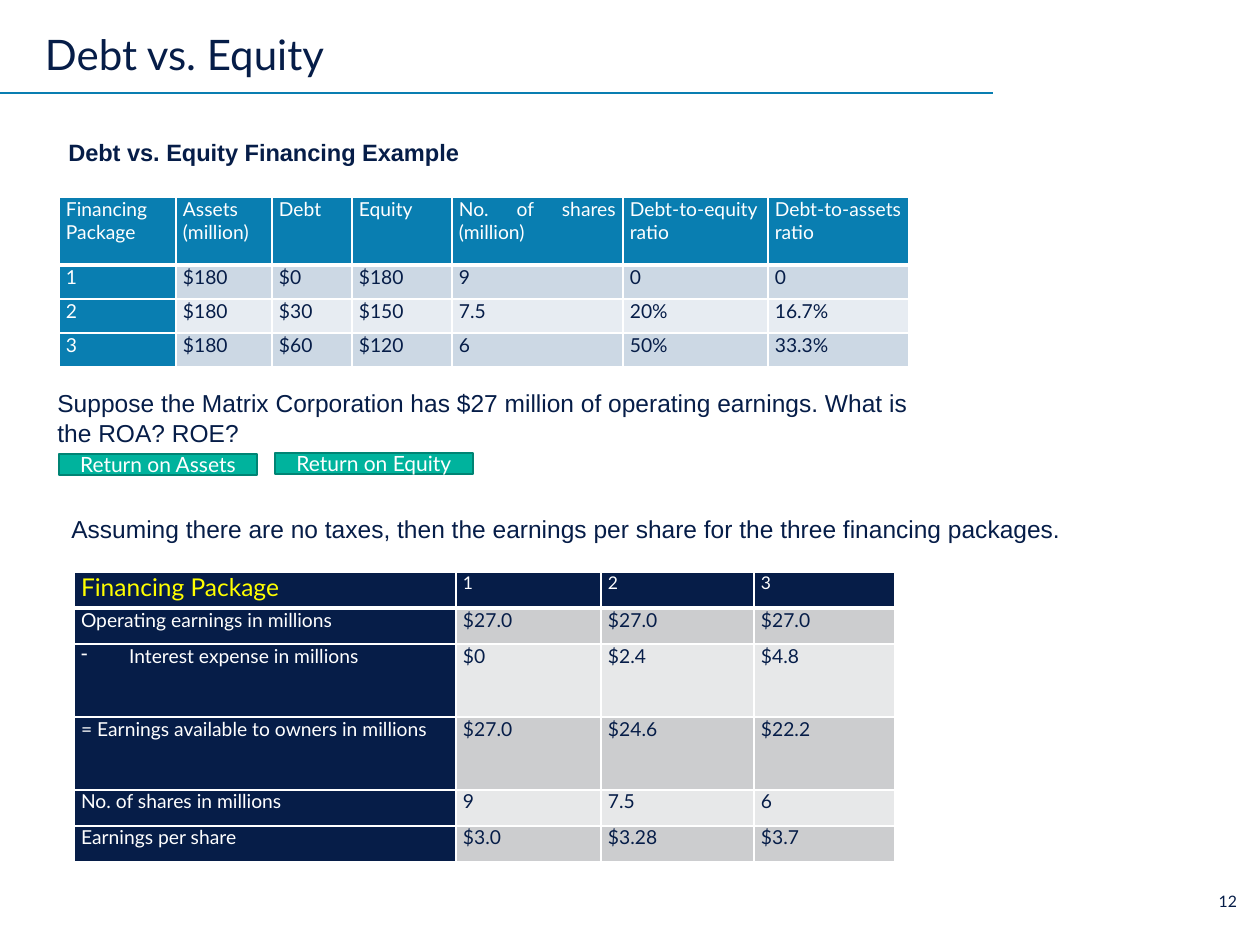
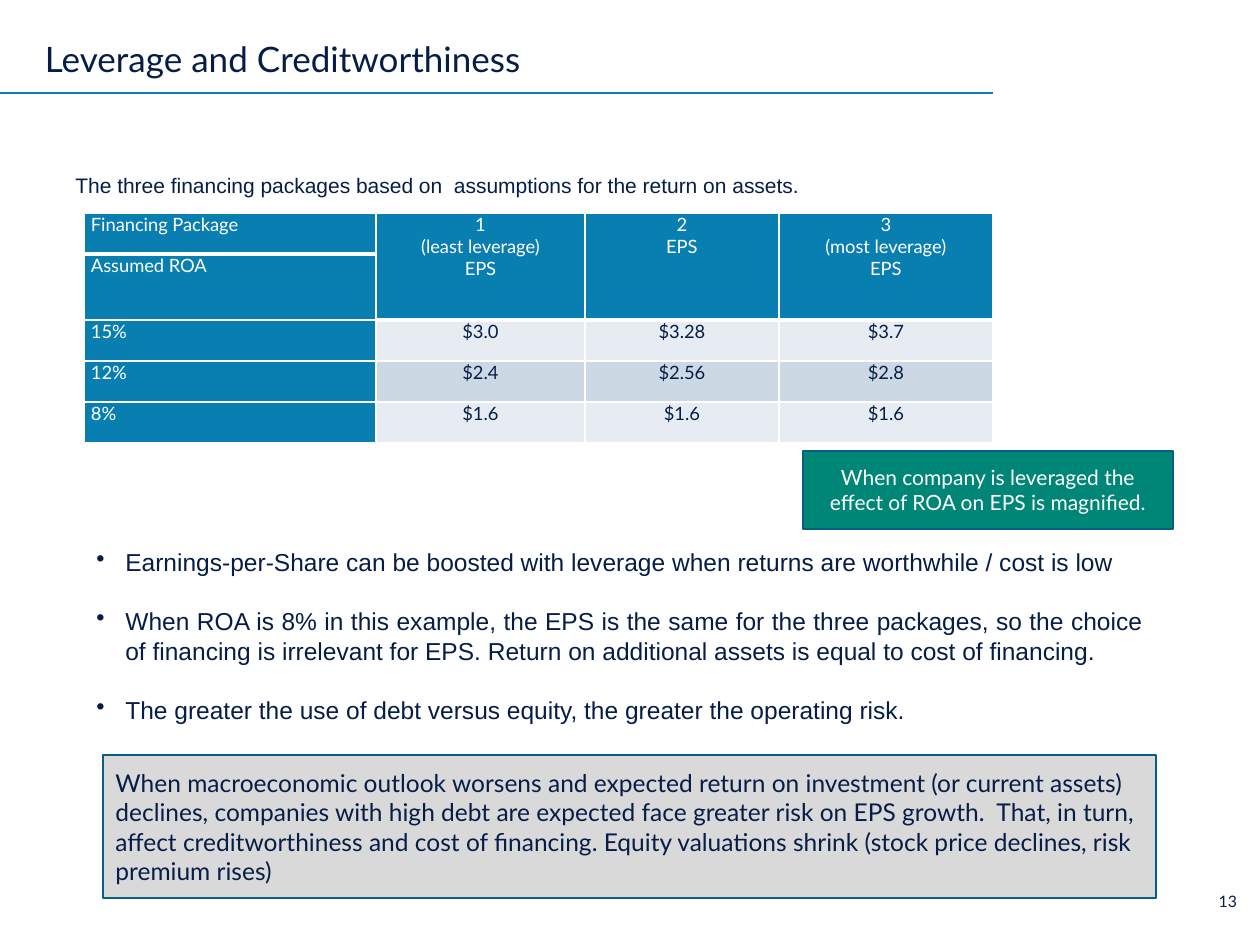
from dataclasses import dataclass
from lxml import etree
from pptx import Presentation
from pptx import util as u
from pptx.dml.color import RGBColor
from pptx.enum import shapes, text
from pptx.oxml.ns import qn


@dataclass(frozen=True)
class Theme:
    navy: str = "061D48"
    blue: str = "097EB1"
    edge: str = "075D83"
    white: str = "FFFFFF"
    yellow: str = "FFFF00"
    mint: str = "00B39D"
    green: str = "008676"
    rim: str = "008474"
    grey: str = "D9D9D9"
    cool: tuple = ("CCD8E4", "E7ECF2")
    dull: tuple = ("CCCDCF", "E7E8E9")
    head: str = "Lato"
    body: str = "Arial"
    big: float = 14
    lead: float = 13.5
    mid: float = 12
    cell: float = 11
    small: float = 10.5
    tiny: float = 10
    foot: float = 9


T = Theme()
LEFT, MID, RIGHT, JUST = (text.PP_ALIGN.LEFT, text.PP_ALIGN.CENTER,
                          text.PP_ALIGN.RIGHT, text.PP_ALIGN.JUSTIFY)

PACKS = dict(
    at=(59, 197), cols=[117, 96, 80, 100, 171, 145, 141], rows=[68, 34, 34, 34],
    label=T.blue, bands=T.cool, size=T.cell, align=JUST,
    data=[
        ["Financing Package", "Assets\n(million)", "Debt", "Equity",
         "No. of shares (million)", "Debt-to-equity ratio", "Debt-to-assets ratio"],
        ["1", "$180", "$0", "$180", "9", "0", "0"],
        ["2", "$180", "$30", "$150", "7.5", "20%", "16.7%"],
        ["3", "$180", "$60", "$120", "6", "50%", "33.3%"],
    ])

EARN = dict(
    at=(74, 572), cols=[382, 145, 153, 141], rows=[36, 36, 73, 73, 36, 36],
    label=T.navy, bands=T.dull, size=T.cell, align=JUST, top=T.tiny,
    corner=(T.big, T.yellow),
    data=[
        ["Financing Package", "1", "2", "3"],
        ["Operating earnings in millions", "$27.0", "$27.0", "$27.0"],
        ["- Interest expense in millions", "$0", "$2.4", "$4.8"],
        ["= Earnings available to owners in millions", "$27.0", "$24.6", "$22.2"],
        ["No. of shares in millions", "9", "7.5", "6"],
        ["Earnings per share", "$3.0", "$3.28", "$3.7"],
    ])

LEVER = dict(
    at=(84, 213), cols=[292, 209, 194, 214], rows=[41, 57, 41, 41, 41],
    label=T.blue, bands=T.cool, size=T.small, align=MID, heads=2,
    data=[
        ["Financing Package", "1\n(least leverage)\nEPS", "2\nEPS",
         "3\n(most leverage)\nEPS"],
        ["Assumed ROA", "", "", ""],
        ["15%", "$3.0", "$3.28", "$3.7"],
        ["12%", "$2.4", "$2.56", "$2.8"],
        ["8%", "$1.6", "$1.6", "$1.6"],
    ])

SLIDES = [
    dict(
        title="Debt vs. Equity", size=24, page=12, tables=[PACKS, EARN],
        notes=[
            ((56, 132, 1123, 45), "Debt vs. Equity Financing Example", T.lead, True),
            ((45, 382, 915, 72), "Suppose the Matrix Corporation has $27 million of "
             "operating earnings. What is the ROA? ROE?", T.big, False),
            ((59, 508, 1108, 43), "Assuming there are no taxes, then the earnings per "
             "share for the three financing packages.", T.big, False),
        ],
        boxes=[
            ((59, 454, 198, 21), "Return on Assets", T.mint, T.rim, T.mid, T.white, MID),
            ((275, 453, 198, 21), "Return on Equity", T.mint, T.rim, T.mid, T.white, MID),
        ]),
    dict(
        title="Leverage and Creditworthiness", size=20, page=13, tables=[LEVER],
        notes=[
            ((63, 166, 1018, 38), "The three financing packages based on  assumptions "
             "for the return on assets.", T.mid, False),
        ],
        points=((84, 541, 1072, 190), [
            "• Earnings-per-Share can be boosted with leverage when returns are "
            "worthwhile / cost is low",
            "• When ROA is 8% in this example, the EPS is the same for the three "
            "packages, so the choice of financing is irrelevant for EPS. Return on "
            "additional assets is equal to cost of financing.",
            "• The greater the use of debt versus equity, the greater the operating risk.",
        ]),
        boxes=[
            ((803, 451, 370, 78), "When company is leveraged the effect of ROA on EPS "
             "is magnified.", T.green, T.edge, T.mid, T.white, MID),
            ((103, 755, 1053, 143), "When macroeconomic outlook worsens and expected "
             "return on investment (or current assets) declines, companies with high "
             "debt are expected face greater risk on EPS growth.  That, in turn, affect "
             "creditworthiness and cost of financing. Equity valuations shrink (stock "
             "price declines, risk premium rises)", T.grey, T.edge, T.big, T.navy, LEFT),
        ]),
]


def px(n):
    return u.Emu(round(n * 914400 / 126))


def area(box):
    return [px(n) for n in box]


def rgb(code):
    return RGBColor.from_string(code)


def flush(frame):
    frame.margin_left = frame.margin_right = 0
    frame.margin_top = frame.margin_bottom = 0


def write(frame, lines, face, size, color, align=LEFT, bold=False, hang=48, gap=0):
    frame.text = "\n".join(line.removeprefix("• ").removeprefix("- ") for line in lines)
    for i, (para, line) in enumerate(zip(frame.paragraphs, lines)):
        if line[:2] in ("• ", "- "):
            prop = para._p.get_or_add_pPr()
            prop.set("marL", str(px(hang)))
            prop.set("indent", str(-px(hang)))
            etree.SubElement(prop, qn("a:buChar")).set("char", line[0])
        para.alignment = align
        if i and gap:
            para.space_before = u.Pt(gap)
        font = para.font
        font.name, font.size, font.bold = face, u.Pt(size), bold
        font.color.rgb = rgb(color)


def note(page, box, lines, face, size, color=T.navy, **more):
    frame = page.shapes.add_textbox(*area(box)).text_frame
    frame.word_wrap = True
    write(frame, lines, face, size, color, **more)
    return frame


def frame_page(page, spec):
    title = page.shapes.title
    title.left, title.top, title.width, title.height = area((45, 12, 900, 68))
    frame = title.text_frame
    flush(frame)
    frame.auto_size = text.MSO_AUTO_SIZE.NONE
    frame.vertical_anchor = text.MSO_ANCHOR.BOTTOM
    write(frame, [spec["title"]], T.head, spec["size"], T.navy)
    frame.paragraphs[0].line_spacing = 0.9
    rule = page.shapes.add_connector(
        shapes.MSO_CONNECTOR.STRAIGHT, *area((0, 93, 993, 93)))
    rule.line.color.rgb, rule.line.width = rgb(T.blue), u.Pt(1.5)
    etree.SubElement(rule._element.spPr, qn("a:effectLst"))
    flush(note(page, (1198, 892, 39, 19), [str(spec["page"])], T.head, T.foot,
               align=RIGHT))


def border(cell, head):
    prop = cell._tc.get_or_add_tcPr()
    for side in "LRTB":
        width = 3 if head and side == "B" else 1
        line = etree.SubElement(prop, qn("a:ln" + side), w=str(u.Pt(width)))
        fill = etree.SubElement(line, qn("a:solidFill"))
        etree.SubElement(fill, qn("a:srgbClr"), val=T.white)


def grid(page, spec):
    data, cols, rows = spec["data"], spec["cols"], spec["rows"]
    heads = spec.get("heads", 1)
    table = page.shapes.add_table(
        len(rows), len(cols), *area((*spec["at"], sum(cols), sum(rows)))).table
    table.first_row = table.horz_banding = False
    for col, width in zip(table.columns, cols):
        col.width = px(width)
    for row, height in zip(table.rows, rows):
        row.height = px(height)
    for r, line in enumerate(data):
        for c, word in enumerate(line):
            cell = table.cell(r, c)
            label = r < heads or c == 0
            size = spec.get("top", spec["size"]) if r == 0 else spec["size"]
            color = T.white if label else T.navy
            if r == c == 0:
                size, color = spec.get("corner", (size, color))
            cell.margin_left = cell.margin_right = px(7)
            cell.margin_top = cell.margin_bottom = 0
            border(cell, r == 0)
            cell.fill.solid()
            band = spec["bands"][(r - 1) % 2]
            cell.fill.fore_color.rgb = rgb(spec["label"] if label else band)
            write(cell.text_frame, word.split("\n"), T.head, size, color,
                  align=spec["align"] if c else JUST)
    if heads > 1:
        for c in range(1, len(cols)):
            table.cell(0, c).merge(table.cell(heads - 1, c))


def panel(page, box, words, fill, edge, size, color, align):
    shape = page.shapes.add_shape(shapes.MSO_SHAPE.RECTANGLE, *area(box))
    shape.shadow.inherit = False
    shape.fill.solid()
    shape.fill.fore_color.rgb = rgb(fill)
    shape.line.color.rgb, shape.line.width = rgb(edge), u.Pt(1)
    frame = shape.text_frame
    frame.word_wrap = True
    frame.vertical_anchor = text.MSO_ANCHOR.MIDDLE
    write(frame, [words], T.head, size, color, align=align)


def main():
    deck = Presentation()
    deck.slide_width, deck.slide_height = px(1260), px(945)
    for spec in SLIDES:
        page = deck.slides.add_slide(deck.slide_layouts[5])
        frame_page(page, spec)
        for table in spec["tables"]:
            grid(page, table)
        for box, words, size, bold in spec["notes"]:
            note(page, box, [words], T.body, size, bold=bold)
        if "points" in spec:
            box, lines = spec["points"]
            note(page, box, lines, T.body, T.big, align=JUST, hang=29, gap=17)
        for box in spec["boxes"]:
            panel(page, *box)
    deck.save("out.pptx")


if __name__ == "__main__":
    main()
